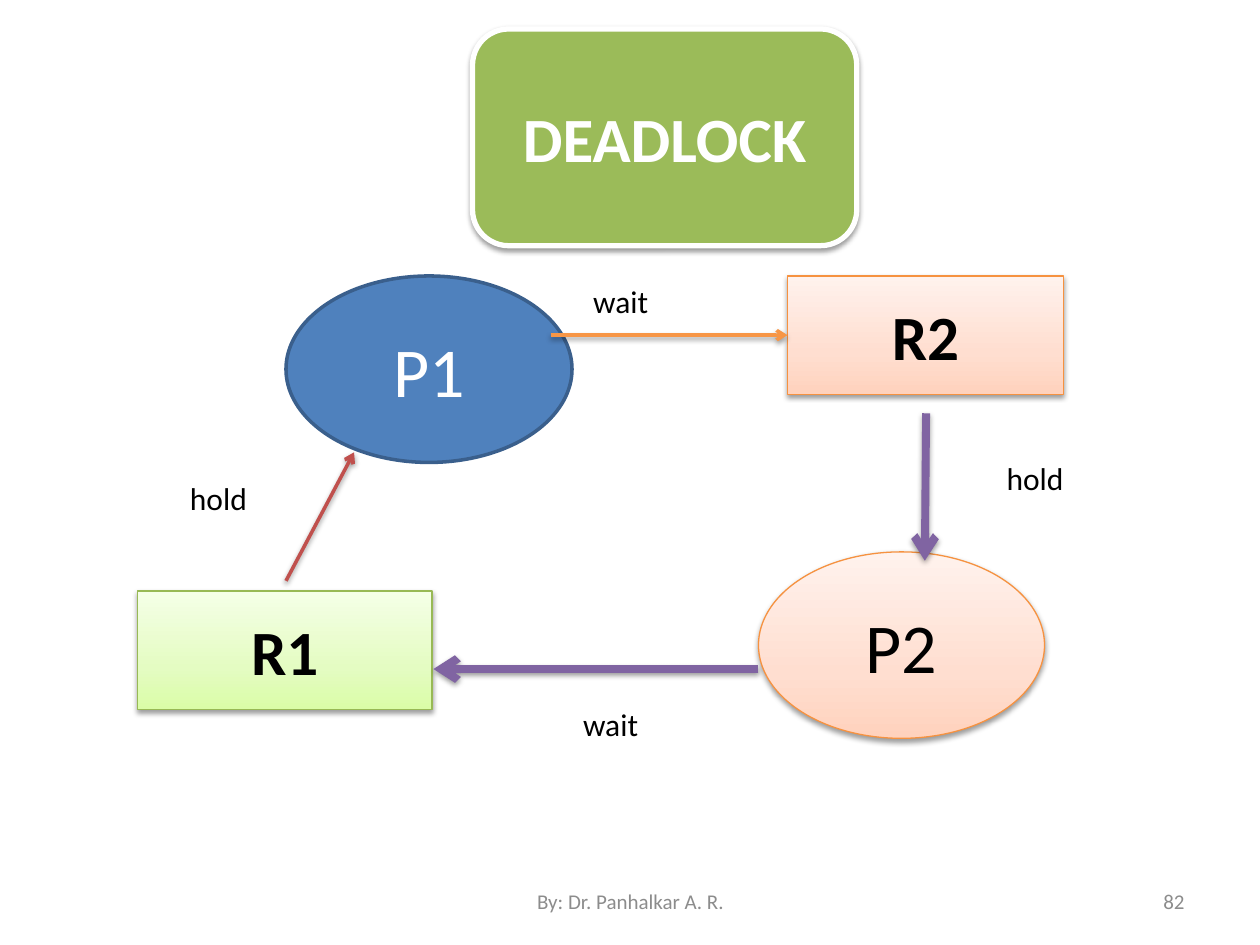
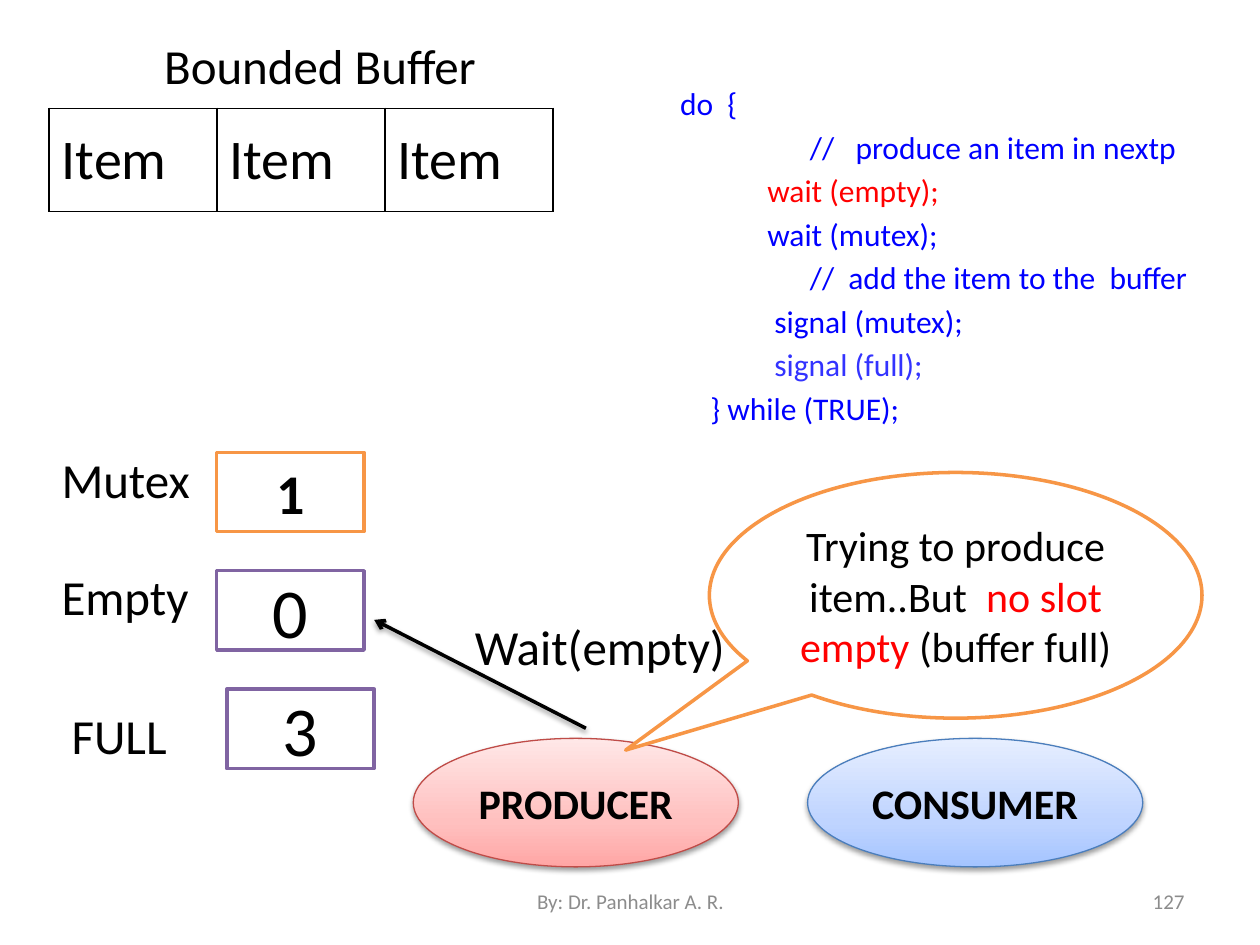
from lxml import etree
from pptx import Presentation
from pptx.dml.color import RGBColor
from pptx.enum.shapes import MSO_CONNECTOR as CONN, MSO_SHAPE as SHAPE
from pptx.enum.text import MSO_ANCHOR as ANCHOR, PP_ALIGN as ALIGN
from pptx.oxml import parse_xml
from pptx.oxml.ns import nsdecls, qn
from pptx.util import Inches, Pt

FONT = "Calibri"
FOOTER = "By: Dr. Panhalkar A. R."
COLORS = {
    "black": "000000", "white": "FFFFFF", "gray": "8C8C8C",
    "blue": "4F81BD", "navy": "3A5F8C", "green": "9BBB59",
    "crimson": "C0504D", "orange": "F79646", "purple": "8064A2",
    "code": "0000FF", "code_soft": "3333FF", "red": "FF0000",
    "leaf": "98B955", "peach": "F69240", "rose": "BF4C48", "sky": "4B7EBC",
}
# Soft gradients, bottom to top, named after the outline they go with
GRADIENTS = {
    "leaf": ("DAFDA7", "E4FCC2", "F5FFE7"),
    "peach": ("FFD2BD", "FFDED0", "FFF2ED"),
    "rose": ("FFA6A5", "FFC0BF", "FFE7E7"),
    "sky": ("A4C4FF", "BFD4FF", "E6EEFF"),
}
STOPS = (0, 35, 100)

# Deadlock: preset, place, text, size, bold, text colour, fill, line, width, shadow
NODE_H, PROCESS = 0.94, (2.27, 1.48)
DEADLOCK_NODES = [
    (SHAPE.ROUNDED_RECTANGLE, (3.75, 0.23, 3.05, 1.72), "DEADLOCK", 36, True,
     "white", "green", "white", 3, True),
    (SHAPE.RECTANGLE, (1.09, 4.69, 2.34, NODE_H), "R1", 36, True,
     "black", None, "leaf", 0.75, True),
    (SHAPE.RECTANGLE, (6.25, 2.19, 2.19, NODE_H), "R2", 36, True,
     "black", None, "peach", 0.75, True),
    (SHAPE.OVAL, (2.27, 2.19, *PROCESS), "P1", 40, False,
     "white", "blue", "navy", 2, False),
    (SHAPE.OVAL, (6.02, 4.38, *PROCESS), "P2", 40, False,
     "black", None, "peach", 0.75, True),
]
DEADLOCK_ARROWS = [
    ((2.27, 4.61), (2.81, 3.59), "crimson", 2),
    ((4.37, 2.66), (6.25, 2.66), "orange", 2),
    ((7.35, 3.28), (7.34, 4.45), "purple", 4.5),
    ((6.02, 5.31), (3.44, 5.31), "purple", 4.5),
]
DEADLOCK_LABELS = [("hold", 1.41, 3.75), ("hold", 7.89, 3.59),
                   ("wait", 4.61, 2.19), ("wait", 4.53, 5.55)]

# Bounded buffer
BUFFER = ["Item", "Item", "Item"]
BUFFER_AT = (0.39, 0.86, 4, 0.82)
COUNTER_TOP, COUNTER_STEP = 3.59, 0.94
# label, label place, value, value left, size, bold, outline
COUNTERS = [
    ("Mutex", (0.39, 3.52), "1", 1.72, 32, True, "orange"),
    ("Empty", (0.39, 4.45), "0", 1.72, 40, False, "purple"),
    ("FULL", (0.47, 5.55), "3", 1.8, 40, False, "purple"),
]
ACTORS = [("PRODUCER", 3.28, 2.58, "rose"), ("CONSUMER", 6.41, 2.66, "sky")]
CODE = [
    ("\tdo  {", "code"),
    ("                         //   produce an item in nextp", "code"),
    ("                   wait (empty);", "red"),
    ("                   wait (mutex);", "code"),
    ("                         //  add the item to the  buffer", "code"),
    ("                    signal (mutex);", "code"),
    ("                    signal (full);", "code_soft"),
    ("           } while (TRUE);", "code"),
]
CALLOUT = [("Trying to produce item..But  ", "black"),
           ("no slot empty ", "red"), ("(buffer full)", "black")]


def rgb(name):
    return RGBColor.from_string(COLORS[name])


def inches(values):
    return [Inches(v) for v in values]


def style(font, size, color, bold=False):
    font.name, font.size, font.bold = FONT, Pt(size), bold
    font.color.rgb = rgb(color)


def write(tf, runs, size, bold=False, align=ALIGN.LEFT, anchor=ANCHOR.TOP):
    """Fill one paragraph with (text, colour) runs."""
    tf.word_wrap, tf.vertical_anchor = True, anchor
    p = tf.paragraphs[0]
    p.alignment = align
    for text, color in runs:
        r = p.add_run()
        r.text = text
        style(r.font, size, color, bold)


def add_text(s, text, at, size, color="black", **kw):
    write(s.shapes.add_textbox(*inches(at)).text_frame, [(text, color)], size, **kw)


def set_effects(sp, shadow):
    """Add the soft drop shadow, or an empty effect list."""
    fx = etree.SubElement(sp._element.spPr, qn("a:effectLst"))
    if shadow:
        fx.append(parse_xml(
            f'<a:outerShdw {nsdecls("a")} blurRad="{Pt(3.1)}" dist="{Pt(1.6)}" '
            'dir="5400000" rotWithShape="0"><a:srgbClr val="000000">'
            '<a:alpha val="38000"/></a:srgbClr></a:outerShdw>'))


def set_gradient(sp, colors):
    stops = "".join(f'<a:gs pos="{pos * 1000}"><a:srgbClr val="{c}"/></a:gs>'
                    for pos, c in zip(STOPS, colors))
    sp.fill.background()
    spPr = sp._element.spPr
    spPr.replace(spPr.find(qn("a:noFill")), parse_xml(
        f'<a:gradFill {nsdecls("a")} rotWithShape="1"><a:gsLst>{stops}</a:gsLst>'
        '<a:lin ang="16200000" scaled="0"/></a:gradFill>'))


def add_node(s, preset, at, runs, size, bold, fill, line, width, shadow):
    """Add a centred shape; without a fill it takes the gradient of its line."""
    sp = s.shapes.add_shape(preset, *inches(at))
    if fill:
        sp.fill.solid()
        sp.fill.fore_color.rgb = rgb(fill)
    else:
        set_gradient(sp, GRADIENTS[line])
    sp.line.color.rgb, sp.line.width = rgb(line), Pt(width)
    set_effects(sp, shadow)
    write(sp.text_frame, runs, size, bold, ALIGN.CENTER, ANCHOR.MIDDLE)
    return sp


def add_arrow(s, start, end, color, width):
    c = s.shapes.add_connector(CONN.STRAIGHT, *inches(start + end))
    c.line.color.rgb, c.line.width = rgb(color), Pt(width)
    etree.SubElement(c.line._get_or_add_ln(), qn("a:tailEnd"), type="arrow")
    set_effects(c, True)


def add_slide(prs, number):
    s = prs.slides.add_slide(prs.slide_layouts[6])
    add_text(s, str(number), (7.17, 6.95, 2.33, 0.4), 12, "gray",
             align=ALIGN.RIGHT, anchor=ANCHOR.MIDDLE)
    add_text(s, FOOTER, (3.42, 6.95, 3.17, 0.4), 12, "gray",
             align=ALIGN.CENTER, anchor=ANCHOR.MIDDLE)
    return s


def add_buffer(s):
    gf = s.shapes.add_table(1, len(BUFFER), *inches(BUFFER_AT))
    table = gf.table
    table.first_row = table.horz_banding = False
    for cell, text in zip(table.iter_cells(), BUFFER):
        write(cell.text_frame, [(text, "black")], 32)
        cell.vertical_anchor = ANCHOR.MIDDLE
        tcPr = cell._tc.get_or_add_tcPr()
        for side in "LRTB":
            tcPr.append(parse_xml(
                f'<a:ln{side} {nsdecls("a")} w="{Pt(1)}"><a:solidFill>'
                f'<a:srgbClr val="{COLORS["black"]}"/></a:solidFill></a:ln{side}>'))
        cell.fill.background()


def add_code(s):
    tf = s.shapes.add_textbox(*inches((4.92, 0.62, 4.84, 3.44))).text_frame
    tf.word_wrap = True
    for i, (text, color) in enumerate(CODE):
        p = tf.add_paragraph() if i else tf.paragraphs[0]
        pPr = p._p.get_or_add_pPr()
        pPr.set("marL", str(Inches(0.38)))
        pPr.set("indent", str(-Inches(0.38)))
        p.space_before = Pt(3.25 if i else 0)
        p.text = text
        style(p.runs[0].font, 18, color)


def build_deadlock(prs):
    s = add_slide(prs, 82)
    for preset, at, text, size, bold, color, *look in DEADLOCK_NODES:
        add_node(s, preset, at, [(text, color)], size, bold, *look)
    for arrow in DEADLOCK_ARROWS:
        add_arrow(s, *arrow)
    for text, x, y in DEADLOCK_LABELS:
        add_text(s, text, (x, y, 1.33, 0.4), 18)


def build_bounded_buffer(prs):
    s = add_slide(prs, 127)
    add_text(s, "Bounded Buffer", (0.47, 0.23, 4.14, 0.57), 28, align=ALIGN.CENTER)
    add_buffer(s)
    # Semaphore counters
    for i, (label, place, value, x, size, bold, line) in enumerate(COUNTERS):
        add_text(s, label, (*place, 1.33, 0.57), 28)
        at = (x, COUNTER_TOP + i * COUNTER_STEP, 1.17, 0.63)
        add_node(s, SHAPE.RECTANGLE, at, [(value, "black")], size, bold,
                 "white", line, 2, False)
    # Producer and consumer
    for name, x, w, line in ACTORS:
        add_node(s, SHAPE.OVAL, (x, 5.86, w, 1.02), [(name, "black")], 24, True,
                 None, line, 0.75, True)
    add_code(s)
    add_arrow(s, (4.65, 5.78), (2.97, 4.92), "black", 2)
    add_text(s, "Wait(empty)", (3.67, 4.84, 2.42, 0.57), 28)
    # Producer's speech bubble
    bubble = add_node(s, SHAPE.OVAL_CALLOUT, (5.63, 3.75, 3.91, 1.95), CALLOUT, 24,
                      False, "white", "orange", 2, False)
    bubble.adjustments[0], bubble.adjustments[1] = -0.67, 0.63


def main():
    prs = Presentation()
    prs.slide_width, prs.slide_height = Inches(10), Inches(7.5)
    build_deadlock(prs)
    build_bounded_buffer(prs)
    prs.save("out.pptx")


if __name__ == "__main__":
    main()
